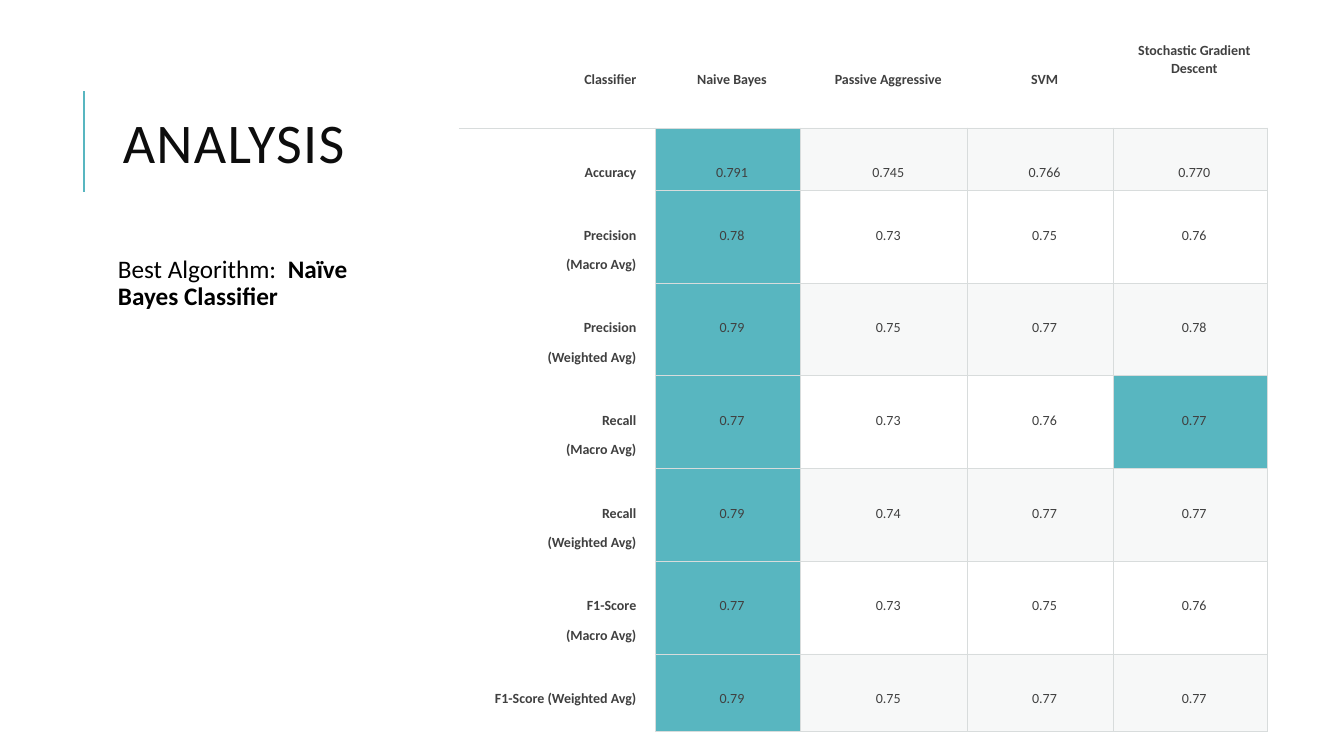
from lxml import etree
from pptx import Presentation
from pptx.dml.color import RGBColor
from pptx.enum.shapes import MSO_CONNECTOR
from pptx.enum.text import MSO_ANCHOR, PP_ALIGN
from pptx.oxml.ns import qn
from pptx.util import Inches, Pt

STRAIGHT = MSO_CONNECTOR.STRAIGHT
TOP, MIDDLE = MSO_ANCHOR.TOP, MSO_ANCHOR.MIDDLE
LEFT, CENTER, RIGHT = PP_ALIGN.LEFT, PP_ALIGN.CENTER, PP_ALIGN.RIGHT

COLORS = {
    "accent": "58B6C0",
    "title": "0D0D0D",
    "body": "000000",
    "cell": "404040",
    "band": "D8DEDC",
    "border": "D8DCDC",
}
PLAIN_TABLE_STYLE = "{2D5ABB26-0587-4C30-8999-92F81FD0307C}"
BAND_ALPHA = 20
TEXT_TOP, RAISED_TOP = 0.35, 0.06

COLUMN_WIDTHS = [1.95, 1.44, 1.66, 1.44, 1.53]
ROW_HEIGHTS = [0.92, 0.62] + [0.92] * 5 + [0.77]
SCORES = [
    ["Classifier", "Naive Bayes", "Passive Aggressive", "SVM", "Stochastic Gradient Descent"],
    ["Accuracy", "0.791", "0.745", "0.766", "0.770"],
    ["Precision\n(Macro Avg)", "0.78", "0.73", "0.75", "0.76"],
    ["Precision\n(Weighted Avg)", "0.79", "0.75", "0.77", "0.78"],
    ["Recall\n(Macro Avg)", "0.77", "0.73", "0.76", "0.77"],
    ["Recall\n(Weighted Avg)", "0.79", "0.74", "0.77", "0.77"],
    ["F1-Score\n(Macro Avg)", "0.77", "0.73", "0.75", "0.76"],
    ["F1-Score (Weighted Avg)", "0.79", "0.75", "0.77", "0.77"],
]
BEST_COLUMN = 1
TIED_CELL = (4, 4)


def set_all(target, values):
    for name, value in values.items():
        setattr(target, name, value)


class SlideBuilder:
    font = "Calibri"

    def __init__(self, page):
        self.page = page

    def color(self, name):
        return RGBColor.from_string(COLORS[name])

    def span(self, para, text, size, color, bold=False, spacing=0):
        span = para.add_run()
        span.text = text
        set_all(span.font, {"name": self.font, "size": Pt(size), "bold": bold})
        span.font.color.rgb = self.color(color)
        if spacing:
            span.font._element.set("spc", str(spacing))

    def line(self, x1, y1, x2, y2, color, width):
        line = self.page.shapes.add_connector(
            STRAIGHT, Inches(x1), Inches(y1), Inches(x2), Inches(y2))
        line.line.color.rgb = self.color(color)
        line.line.width = Pt(width)
        etree.SubElement(line._element.spPr, qn("a:effectLst"))

    def text(self, area, spans, frame_format, para_format):
        box = self.page.shapes.add_textbox(*map(Inches, area))
        set_all(box.text_frame, {"word_wrap": True, **frame_format})
        para = box.text_frame.paragraphs[0]
        set_all(para, para_format)
        for span in spans:
            self.span(para, **span)

    def border(self, cell, sides):
        properties = cell._tc.get_or_add_tcPr()
        for side in "LRTB":
            edge = etree.SubElement(properties, qn(f"a:ln{side}"), w=str(Pt(0.75)))
            if side in sides:
                fill = etree.SubElement(edge, qn("a:solidFill"))
                etree.SubElement(fill, qn("a:srgbClr"), val=COLORS["border"])
            else:
                etree.SubElement(edge, qn("a:noFill"))

    def fill(self, cell, color, alpha=100):
        if color is None:
            cell.fill.background()
            return
        cell.fill.solid()
        cell.fill.fore_color.rgb = self.color(color)
        if alpha < 100:
            shade = cell._tc.tcPr.find(".//" + qn("a:solidFill") + "[last()]/" + qn("a:srgbClr"))
            for solid in cell._tc.tcPr.findall(qn("a:solidFill")):
                shade = solid.find(qn("a:srgbClr"))
            etree.SubElement(shade, qn("a:alpha"), val=str(alpha * 1000))

    def cell(self, cell, text, align, bold, top):
        set_all(cell, {
            "margin_left": Inches(0.13),
            "margin_right": Inches(0.19 if align == RIGHT else 0.05),
            "margin_top": Inches(top),
            "margin_bottom": Inches(0.06),
            "vertical_anchor": TOP,
        })
        frame = cell.text_frame
        for index, words in enumerate(text.split("\n")):
            para = frame.add_paragraph() if index else frame.paragraphs[0]
            set_all(para, {"alignment": align, "line_spacing": 1.07, "space_after": Pt(8)})
            self.span(para, words, 10, "cell", bold)

    def score_table(self, left, top):
        area = (left, top, sum(COLUMN_WIDTHS), sum(ROW_HEIGHTS))
        table = self.page.shapes.add_table(
            len(SCORES), len(COLUMN_WIDTHS), *map(Inches, area)).table
        set_all(table, {"first_row": False, "horz_banding": False})
        table._tbl.tblPr.find(qn("a:tableStyleId")).text = PLAIN_TABLE_STYLE
        for column, width in zip(table.columns, COLUMN_WIDTHS):
            column.width = Inches(width)
        for row, height in zip(table.rows, ROW_HEIGHTS):
            row.height = Inches(height)
        for r, values in enumerate(SCORES):
            for c, text in enumerate(values):
                cell = table.cell(r, c)
                header, label = r == 0, c == 0
                wrapped = header and c == len(values) - 1
                self.cell(cell, text, RIGHT if label else CENTER, header or label,
                          RAISED_TOP if wrapped else TEXT_TOP)
                if header:
                    sides = "B"
                elif label:
                    sides = "RT" if r == 1 else "R"
                else:
                    sides = "LRTB"
                self.border(cell, sides)
                if header or label:
                    self.fill(cell, None)
                elif c == BEST_COLUMN or (r, c) == TIED_CELL:
                    self.fill(cell, "accent")
                elif r % 2:
                    self.fill(cell, "band", BAND_ALPHA)
                else:
                    self.fill(cell, None)


def main():
    deck = Presentation()
    set_all(deck, {"slide_width": Inches(13.33), "slide_height": Inches(7.5)})
    builder = SlideBuilder(deck.slides.add_slide(deck.slide_layouts[6]))
    builder.line(0.83, 1.9, 0.83, 0.9, "accent", 1.5)
    builder.text(
        (1.12, 0.64, 3.43, 1.64),
        [{"text": "ANALYSIS", "size": 40, "color": "title", "spacing": 100}],
        {"vertical_anchor": MIDDLE},
        {"alignment": LEFT, "line_spacing": 0.8})
    body = {"size": 18, "color": "body"}
    margins = {f"margin_{side}": Inches(0.05) for side in ("left", "top", "right", "bottom")}
    builder.text(
        (1.12, 2.5, 2.53, 1.64),
        [{"text": "Best Algorithm:  ", **body},
         {"text": "Naïve Bayes Classifier", "bold": True, **body}],
        {"vertical_anchor": TOP, **margins},
        {"alignment": LEFT, "line_spacing": 0.9, "space_before": Pt(6), "space_after": Pt(2)})
    builder.score_table(4.55, 0.35)
    deck.save("out.pptx")


if __name__ == "__main__":
    main()
